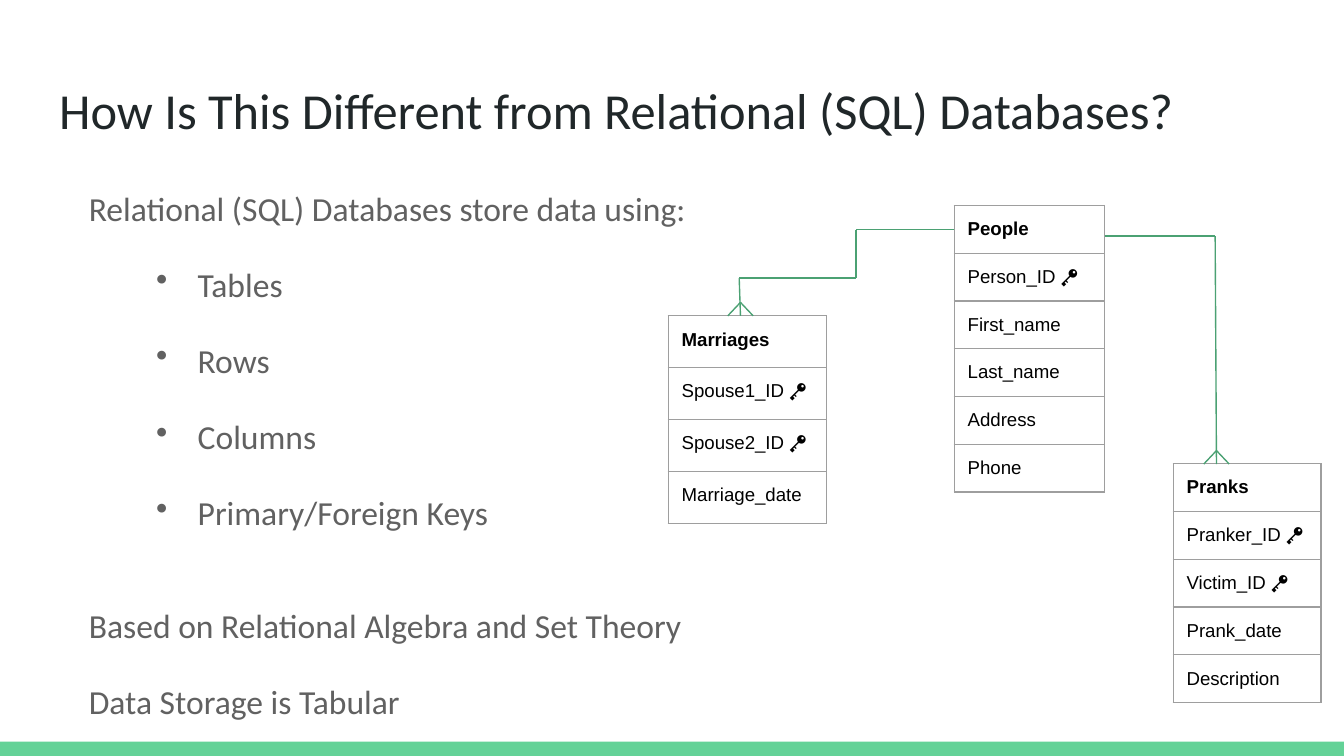
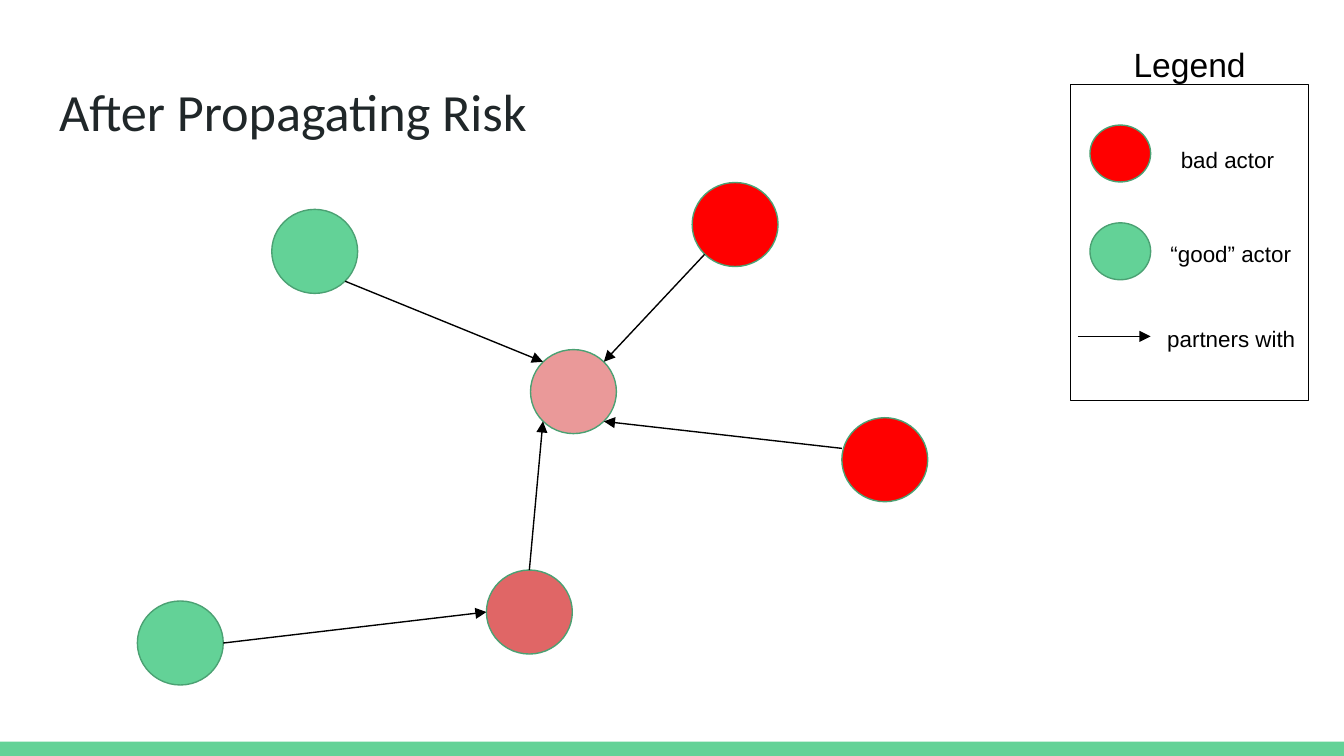
from dataclasses import dataclass

from lxml import etree
from pptx import Presentation
from pptx.dml.color import RGBColor
from pptx.enum.shapes import MSO_CONNECTOR, MSO_SHAPE
from pptx.enum.text import MSO_ANCHOR, MSO_AUTO_SIZE, PP_ALIGN
from pptx.oxml.ns import qn
from pptx.util import Pt

OVAL, RECT = MSO_SHAPE.OVAL, MSO_SHAPE.RECTANGLE
STRAIGHT = MSO_CONNECTOR.STRAIGHT
TOP, NO_FIT = MSO_ANCHOR.TOP, MSO_AUTO_SIZE.NONE
LEFT, CENTER = PP_ALIGN.LEFT, PP_ALIGN.CENTER

COLORS = {
    "green": "63D297", "edge": "4BA173", "title": "202729", "body": "616161",
    "black": "000000", "grid": "9E9E9E", "red": "FF0000", "rose": "E06666",
    "pink": "EA9999",
}
WIDTH, HEIGHT = 720, 405
BAND = 7.7
INSET = 7.2
LINE = 0.75
DIAG = 0.71  # share of the radius at 45 degrees

Point = tuple[float, float]


@dataclass(frozen=True)
class Entity:
    left: float
    top: float
    width: float
    row: float
    fields: tuple[str, ...]


@dataclass(frozen=True)
class Node:
    left: float
    top: float
    color: str
    width: float = 46
    height: float = 45

    def spot(self, dx: float, dy: float) -> Point:
        """Point at shares of the radii from the centre."""
        return (self.left + self.width * (1 + dx) / 2,
                self.top + self.height * (1 + dy) / 2)


@dataclass(frozen=True)
class Label:
    text: str
    left: float
    top: float
    width: float
    height: float = 26
    size: float = 12
    align: PP_ALIGN = LEFT


@dataclass(frozen=True)
class Item:
    text: str
    bullet: bool = False
    after: float = 16


# Content: relational tables
KEY = " 🔑"
ENTITIES = (
    Entity(511.2, 110, 80.6, 25.5,
           ("People", "Person_ID" + KEY, "First_name", "Last_name", "Address", "Phone")),
    Entity(358, 169.2, 85, 27.8,
           ("Marriages", "Spouse1_ID" + KEY, "Spouse2_ID" + KEY, "Marriage_date")),
    Entity(628.5, 248.4, 79.2, 25.5,
           ("Pranks", "Pranker_ID" + KEY, "Victim_ID" + KEY, "Prank_date", "Description")),
)
LINKS = (
    ((511.2, 123), (458.5, 123), (458.5, 149), (396, 149), (396.7, 169.2)),
    ((592, 126.5), (651, 126.5), (651.7, 248.6)),
)
ITEMS = (
    Item("Relational (SQL) Databases store data using:"),
    Item("Tables", True),
    Item("Rows", True),
    Item("Columns", True),
    Item("Primary/Foreign Keys", True, 35.3),
    Item("Based on Relational Algebra and Set Theory"),
    Item("Data Storage is Tabular"),
)

# Content: risk graph
GOOD = Node(145.6, 112.2, "green")
DEEP = Node(260.6, 305.4, "rose")
EAST = Node(451, 223.8, "red")
NORTH = Node(370.8, 97.8, "red")
HUB = Node(284.2, 187.3, "pink")
WEST = Node(73.6, 322, "green")
KEYS = (Node(583.9, 119.4, "green", 32.5, 30.5), Node(583.9, 67, "red", 32.5, 30.5))
ARROWS = (
    (NORTH.spot(-DIAG, DIAG), HUB.spot(DIAG, -DIAG)),
    (EAST.spot(-1, -0.27), HUB.spot(DIAG, DIAG)),
    (GOOD.spot(DIAG, DIAG), HUB.spot(-DIAG, -DIAG)),
    (DEEP.spot(0, -1), HUB.spot(-DIAG, DIAG)),
    (WEST.spot(1, 0), DEEP.spot(-1, 0)),
    ((577.5, 180.2), (616.4, 180.2)),
)
LABELS = (
    Label("bad actor", 625.5, 71.3, 70),
    Label("“good” actor", 620, 121.5, 81),
    Label("partners with", 618.2, 167, 85),
    Label("Legend", 566, 16.6, 142.6, 18.7, 18, CENTER),
)


# Helpers
def rgb(name: str) -> RGBColor:
    return RGBColor.from_string(COLORS[name])


def style(para, face: str, size: float, color: str, bold: bool = False) -> None:
    font = para.font
    font.name, font.size, font.bold = face, Pt(size), bold
    font.color.rgb = rgb(color)


def set_frame(frame) -> None:
    frame.word_wrap = True
    frame.auto_size = NO_FIT
    frame.vertical_anchor = TOP
    frame.margin_left = frame.margin_right = Pt(INSET)
    frame.margin_top = frame.margin_bottom = Pt(INSET)


def add_text(slide, left: float, top: float, width: float, height: float):
    frame = slide.shapes.add_textbox(Pt(left), Pt(top), Pt(width), Pt(height)).text_frame
    set_frame(frame)
    return frame


def add_form(slide, kind, left: float, top: float, width: float, height: float,
             fill: str = "", edge: str = "") -> None:
    shape = slide.shapes.add_shape(kind, Pt(left), Pt(top), Pt(width), Pt(height))
    shape.shadow.inherit = False
    if fill:
        shape.fill.solid()
        shape.fill.fore_color.rgb = rgb(fill)
    else:
        shape.fill.background()
    if edge:
        shape.line.color.rgb = rgb(edge)
        shape.line.width = Pt(LINE)
    else:
        shape.line.fill.background()


def add_node(slide, node: Node) -> None:
    add_form(slide, OVAL, node.left, node.top, node.width, node.height, node.color, "edge")


def add_line(slide, start: Point, end: Point, color: str, arrow: bool = False) -> None:
    line = slide.shapes.add_connector(STRAIGHT, *(Pt(v) for v in start + end))
    line.line.color.rgb = rgb(color)
    line.line.width = Pt(LINE)
    if arrow:
        etree.SubElement(line.line._get_or_add_ln(), qn("a:tailEnd"), type="triangle")
    etree.SubElement(line._element.spPr, qn("a:effectLst"))


def add_link(slide, path: tuple[Point, ...]) -> None:
    """Path that ends in a crow's foot."""
    for start, end in zip(path, path[1:]):
        add_line(slide, start, end, "edge")
    x, y = path[-1]
    for side in (-6.8, 6.8):
        add_line(slide, (x, y - 7.2), (x + side, y), "edge")


def add_grid(cell) -> None:
    props = cell._tc.get_or_add_tcPr()
    for side in ("a:lnL", "a:lnR", "a:lnT", "a:lnB"):
        line = etree.SubElement(props, qn(side), w=str(Pt(LINE)))
        fill = etree.SubElement(line, qn("a:solidFill"))
        etree.SubElement(fill, qn("a:srgbClr"), val=COLORS["grid"])


def add_entity(slide, ent: Entity) -> None:
    count = len(ent.fields)
    table = slide.shapes.add_table(count, 1, Pt(ent.left), Pt(ent.top), Pt(ent.width),
                                   Pt(ent.row * count)).table
    table.first_row = table.horz_banding = False
    for row, name in enumerate(ent.fields):
        cell = table.cell(row, 0)
        cell.text = name
        cell.margin_left = cell.margin_right = Pt(INSET)
        cell.margin_top = cell.margin_bottom = Pt(INSET)
        add_grid(cell)
        cell.fill.background()
        style(cell.text_frame.paragraphs[0], "Arial", 10, "black", row == 0)


def add_item(para, item: Item) -> None:
    para.text = item.text
    props = para._p.get_or_add_pPr()
    margin, indent = (76.3, -22.3) if item.bullet else (36, -18)
    props.set("marL", str(Pt(margin)))
    props.set("indent", str(Pt(indent)))
    if item.bullet:
        tint = etree.SubElement(props, qn("a:buClr"))
        etree.SubElement(tint, qn("a:srgbClr"), val=COLORS["body"])
        etree.SubElement(props, qn("a:buChar"), char="•")
    para.line_spacing = 1.15
    para.space_after = Pt(item.after)
    style(para, "Calibri", 18, "body")


def add_slide(deck, text: str, size: float):
    """Slide with the shared title and bottom band."""
    slide = deck.slides.add_slide(deck.slide_layouts[5])
    add_form(slide, RECT, 0, HEIGHT - BAND, WIDTH, BAND, "green")
    title = slide.shapes.title
    title.left, title.top, title.width, title.height = Pt(24.5), Pt(35), Pt(671), Pt(45)
    set_frame(title.text_frame)
    title.text_frame.text = text
    para = title.text_frame.paragraphs[0]
    para.alignment = LEFT
    style(para, "Calibri", size, "title")
    return slide


# Slides
def build_tables(deck) -> None:
    slide = add_slide(deck, "How Is This Different from Relational (SQL) Databases?", 27)
    frame = add_text(slide, 22.5, 90, 671, 269)
    for num, item in enumerate(ITEMS):
        add_item(frame.add_paragraph() if num else frame.paragraphs[0], item)
    for ent in ENTITIES:
        add_entity(slide, ent)
    for path in LINKS:
        add_link(slide, path)


def build_graph(deck) -> None:
    slide = add_slide(deck, "After Propagating Risk", 28)
    add_form(slide, RECT, 573.4, 45.4, 127.5, 169.2, edge="black")
    for node in (GOOD, DEEP, EAST, NORTH, HUB, WEST) + KEYS:
        add_node(slide, node)
    for start, end in ARROWS:
        add_line(slide, start, end, "black", True)
    for label in LABELS:
        frame = add_text(slide, label.left, label.top, label.width, label.height)
        para = frame.paragraphs[0]
        para.text, para.alignment = label.text, label.align
        style(para, "Arial", label.size, "black")


def main() -> None:
    deck = Presentation()
    deck.slide_width, deck.slide_height = Pt(WIDTH), Pt(HEIGHT)
    build_tables(deck)
    build_graph(deck)
    deck.save("out.pptx")


if __name__ == "__main__":
    main()
